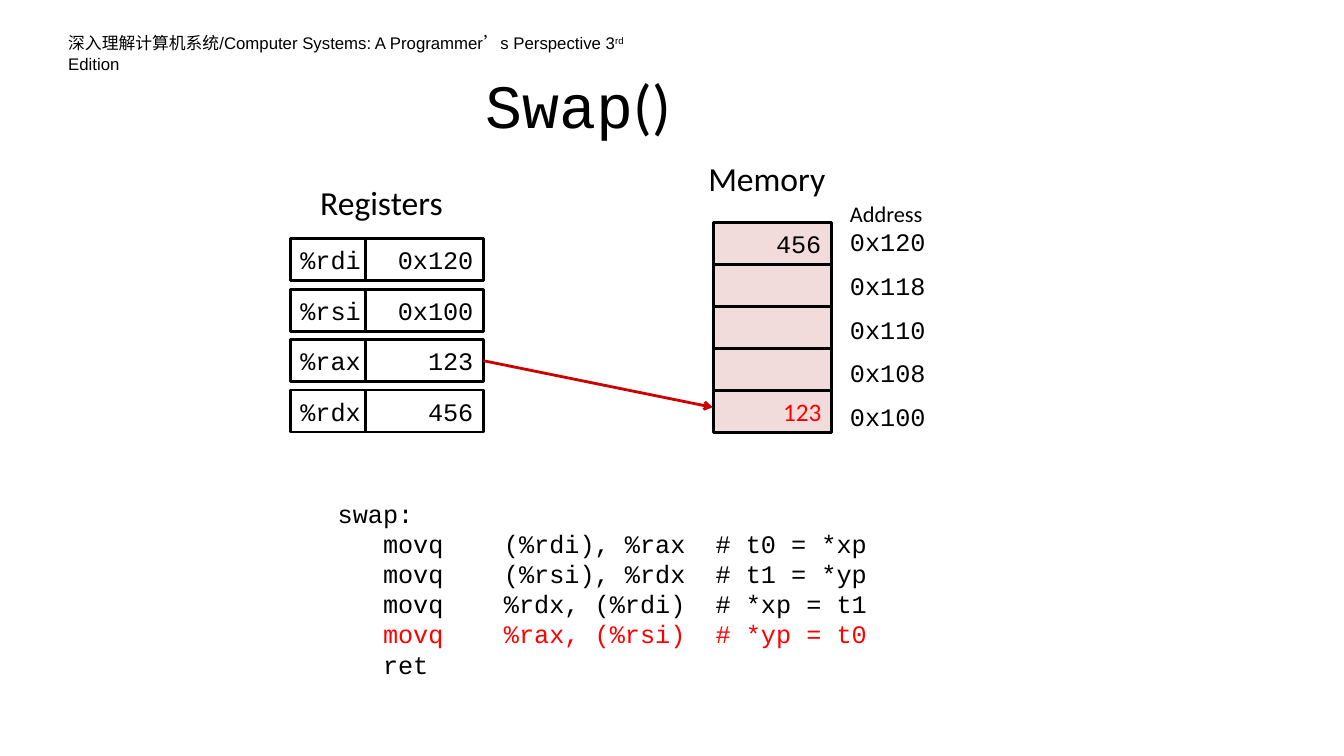
import pptx
import pptx.util
import pptx.dml.color
import pptx.enum.shapes
import pptx.enum.text
import pptx.oxml
import pptx.oxml.ns

Cm, Pt = pptx.util.Cm, pptx.util.Pt
ALIGN = pptx.enum.text.PP_ALIGN
ANCHOR = pptx.enum.text.MSO_ANCHOR

COLORS = {"ink": "000000", "red": "FF0000", "arrow": "CC0000",
          "memory": "F2DCDB", "register": "FFFFFF"}
CODE, BODY, HEADER = "Courier New", "Calibri", "Arial"

# Runs are (text, font, size, colour)
BOOK = [("深入理解计算机系统/Computer Systems: A Programmer’s Perspective 3", HEADER, 12, "ink"),
        ("rd", HEADER, 12, "ink"),
        (" Edition", HEADER, 12, "ink")]
TITLE = [("Swap", CODE, 44, "ink"), ("()", BODY, 44, "ink")]
REGISTERS = [("%rdi", "0x120"), ("%rsi", "0x100"), ("%rax", "123"), ("%rdx", "456")]
MEMORY = [("0x120", "456", CODE, "ink"),
          ("0x118", "", CODE, "ink"),
          ("0x110", "", CODE, "ink"),
          ("0x108", "", CODE, "ink"),
          ("0x100", "123", BODY, "red")]
ASSEMBLY = [("swap:", "ink"),
            ("   movq    (%rdi), %rax  # t0 = *xp", "ink"),
            ("   movq    (%rsi), %rdx  # t1 = *yp", "ink"),
            ("   movq    %rdx, (%rdi)  # *xp = t1", "ink"),
            ("   movq    %rax, (%rsi)  # *yp = t0", "red"),
            ("   ret", "ink")]

# Lengths in centimetres
CELL_H = 1.06
NAME_W, VALUE_W = 1.9, 2.96
REGISTER_LEFT, REGISTER_TOP, REGISTER_STEP = 7.32, 6.02, 1.27
MEMORY_LEFT, MEMORY_TOP = 17.99, 5.6
ADDRESS_LEFT, ADDRESS_TOP, ADDRESS_STEP, ADDRESS_W = 21.17, 5.59, 1.1, 3.39

deck = pptx.Presentation()
deck.slide_width, deck.slide_height = Cm(33.87), Cm(19.05)
slide = deck.slides.add_slide(deck.slide_layouts[6])


def rgb(name):
    return pptx.dml.color.RGBColor.from_string(COLORS[name])


def write(frame, paragraphs, align=ALIGN.LEFT, anchor=ANCHOR.TOP, wrap=True):
    """Fill a text frame with paragraphs, each a list of runs."""
    frame.word_wrap = wrap
    frame.vertical_anchor = anchor
    for index, runs in enumerate(paragraphs):
        paragraph = frame.paragraphs[0] if index == 0 else frame.add_paragraph()
        paragraph.alignment = align
        for text, font, size, color in runs:
            run = paragraph.add_run()
            run.text = text
            run.font.name = font
            run.font.size = Pt(size)
            run.font.color.rgb = rgb(color)


def add_text(left, top, width, height, paragraphs, **layout):
    box = slide.shapes.add_textbox(Cm(left), Cm(top), Cm(width), Cm(height))
    write(box.text_frame, paragraphs, **layout)
    return box.text_frame


def add_cell(left, top, width, fill, text, font=CODE, color="ink", align=ALIGN.RIGHT):
    cell = slide.shapes.add_shape(pptx.enum.shapes.MSO_SHAPE.RECTANGLE,
                                  Cm(left), Cm(top), Cm(width), Cm(CELL_H))
    cell.shadow.inherit = False
    cell.fill.solid()
    cell.fill.fore_color.rgb = rgb(fill)
    cell.line.color.rgb = rgb("ink")
    cell.line.width = Pt(2)
    if text:
        write(cell.text_frame, [[(text, font, 18, color)]],
              align=align, anchor=ANCHOR.MIDDLE, wrap=False)


def add_arrow(x1, y1, x2, y2):
    arrow = slide.shapes.add_connector(pptx.enum.shapes.MSO_CONNECTOR.STRAIGHT,
                                       Cm(x1), Cm(y1), Cm(x2), Cm(y2))
    arrow.line.color.rgb = rgb("arrow")
    arrow.line.width = Pt(2)
    tail = pptx.oxml.parse_xml(
        f'<a:tailEnd {pptx.oxml.ns.nsdecls("a")} type="arrow"/>')
    arrow.line._get_or_add_ln().append(tail)
    arrow._element.spPr.append(
        pptx.oxml.parse_xml(f'<a:effectLst {pptx.oxml.ns.nsdecls("a")}/>'))


book = add_text(1.47, 0.71, 15.1, 0.76, [BOOK])
book.paragraphs[0].runs[1]._r.get_or_add_rPr().set("baseline", "30000")
add_text(5.72, 1.83, 17.7, 1.6, [TITLE], align=ALIGN.CENTER, anchor=ANCHOR.MIDDLE)

for row, (address, value, font, color) in enumerate(MEMORY):
    add_cell(MEMORY_LEFT, MEMORY_TOP + row * CELL_H, VALUE_W, "memory", value, font, color)
    add_text(ADDRESS_LEFT, ADDRESS_TOP + row * ADDRESS_STEP, ADDRESS_W, 1.02,
             [[(address, CODE, 18, "ink")]])

value_left = REGISTER_LEFT + NAME_W
for row, (register, value) in enumerate(REGISTERS):
    top = REGISTER_TOP + row * REGISTER_STEP
    add_cell(REGISTER_LEFT, top, NAME_W, "register", register, align=ALIGN.LEFT)
    add_cell(value_left, top, VALUE_W, "register", value)

add_text(7.82, 4.47, 3.76, 1.27, [[("Registers", BODY, 24, "ink")]])
add_text(17.6, 3.86, 3.56, 1.27, [[("Memory", BODY, 24, "ink")]])
add_text(ADDRESS_LEFT, 4.93, ADDRESS_W, 0.94, [[("Address", BODY, 16, "ink")]])

add_arrow(value_left + VALUE_W, REGISTER_TOP + 2 * REGISTER_STEP + CELL_H / 2,
          MEMORY_LEFT - 0.03, MEMORY_TOP + 4.4 * CELL_H)

add_text(8.26, 12.42, 16.31, 4.88,
         [[(line, CODE, 18, color)] for line, color in ASSEMBLY])

deck.save("out.pptx")
